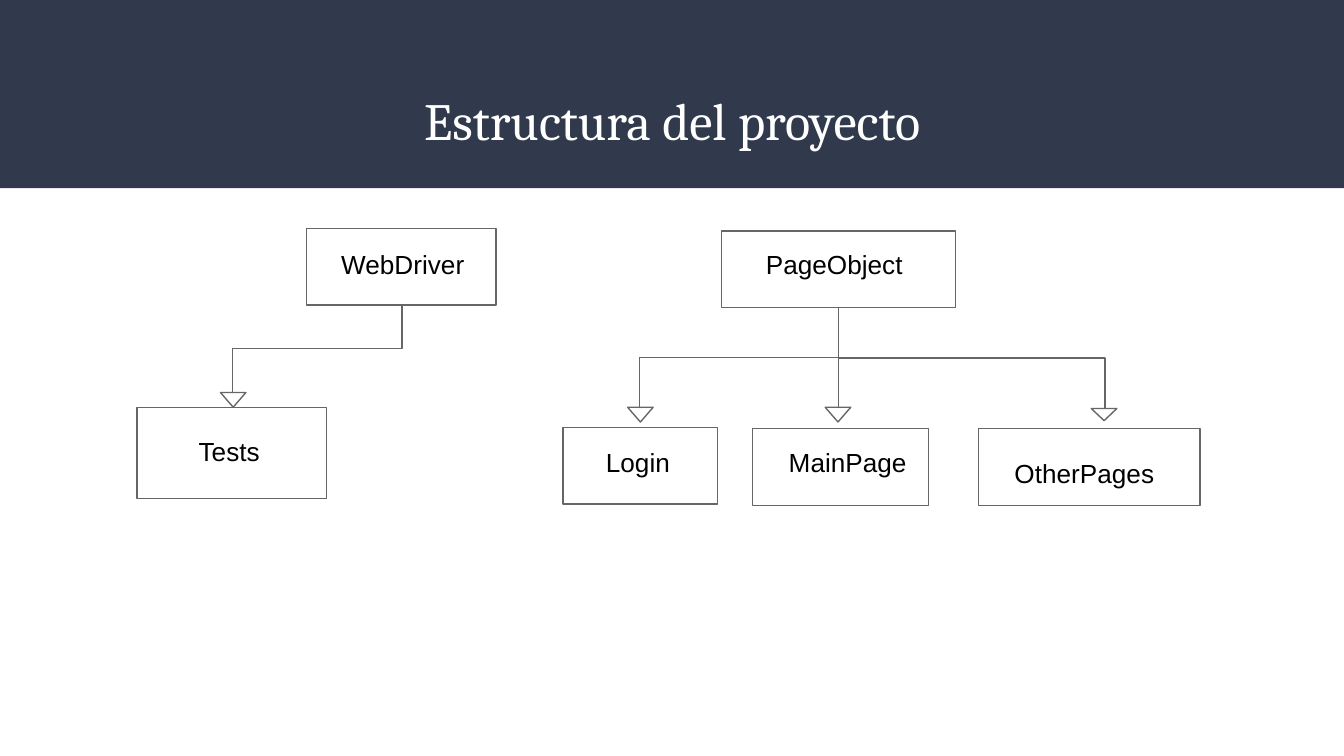
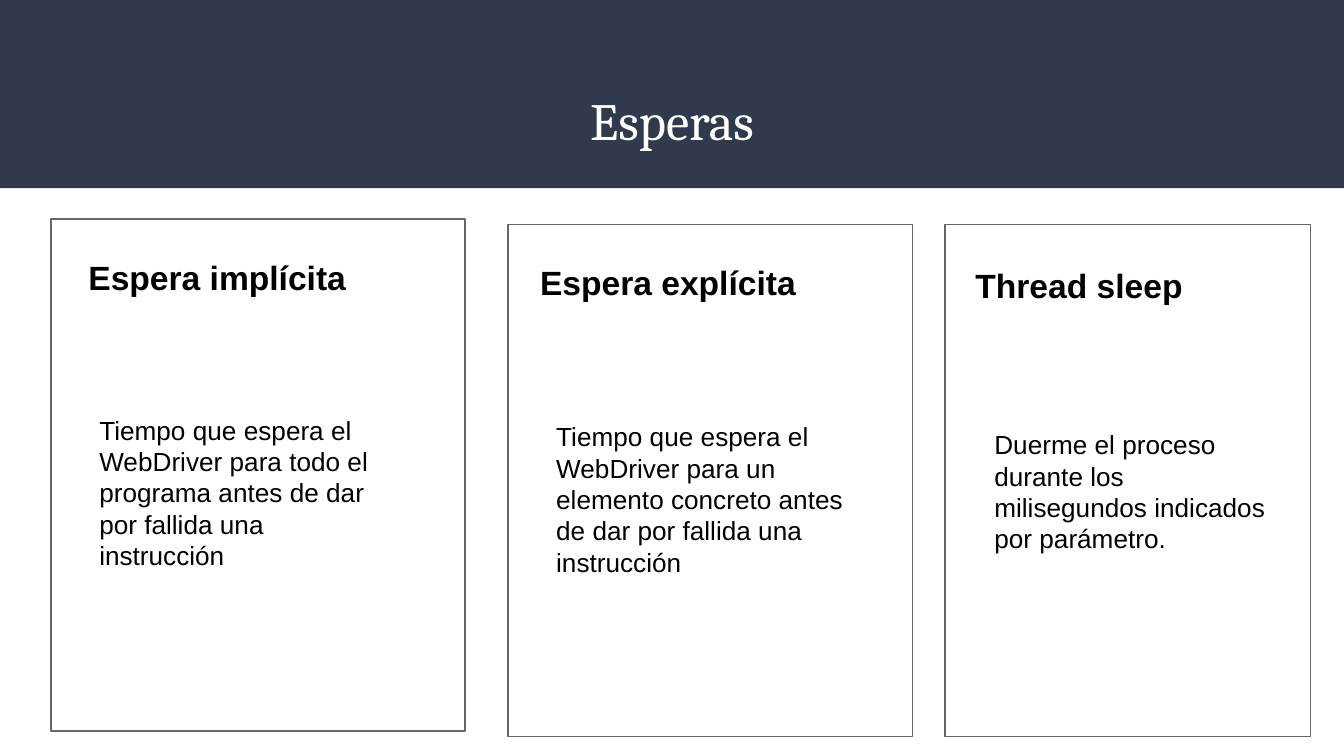
from typing import NamedTuple

from lxml import etree
from pptx import Presentation
from pptx.dml.color import RGBColor
from pptx.enum.shapes import MSO_CONNECTOR, MSO_SHAPE
from pptx.enum.text import MSO_ANCHOR, PP_ALIGN
from pptx.oxml.ns import qn
from pptx.util import Emu, Pt

PX = 9144  # 100 px to the inch
WIDE = 1000
HIGH = WIDE * 9 / 16
PAD = 10

NAVY = RGBColor(0x31, 0x39, 0x4D)
WHITE = RGBColor(0xFF, 0xFF, 0xFF)
BLACK = RGBColor(0x00, 0x00, 0x00)
GRAY = RGBColor(0x66, 0x66, 0x66)

RECT = MSO_SHAPE.RECTANGLE
TRIANGLE = MSO_SHAPE.ISOSCELES_TRIANGLE
ELBOW = MSO_CONNECTOR.ELBOW
TOP, MIDDLE = MSO_ANCHOR.TOP, MSO_ANCHOR.MIDDLE
LEFT, CENTER = PP_ALIGN.LEFT, PP_ALIGN.CENTER


class Area(NamedTuple):
    x: int
    y: int
    w: int
    h: int


class Style(NamedTuple):
    font: str
    size: int
    color: RGBColor = BLACK
    bold: bool = False
    align: PP_ALIGN = LEFT
    anchor: MSO_ANCHOR = TOP


class Node(NamedTuple):
    text: str
    box: Area
    label: Area


class Link(NamedTuple):
    x1: int
    y1: int
    x2: int
    y2: int
    tip: Area


class Card(NamedTuple):
    head: str
    body: str
    box: Area
    top: Area
    main: Area


TITLE = Style("Cambria", 28, WHITE, align=CENTER, anchor=MIDDLE)
HEAD = Style("Arial", 18, bold=True)
BODY = Style("Arial", 14)

NODES = [
    Node("WebDriver", Area(228, 170, 141, 57), Area(244, 175, 136, 68)),
    Node("Tests", Area(102, 303, 141, 68), Area(138, 314, 200, 74)),
    Node("PageObject", Area(537, 172, 174, 57), Area(560, 175, 165, 52)),
    Node("Login", Area(419, 318, 115, 57), Area(441, 322, 136, 48)),
    Node("MainPage", Area(560, 319, 131, 57), Area(577, 322, 131, 34)),
    Node("OtherPages", Area(728, 319, 165, 57), Area(745, 330, 154, 34)),
]

LINKS = [
    Link(299, 227, 173, 292, Area(164, 292, 19, 11)),
    Link(624, 229, 476, 303, Area(467, 303, 19, 11)),
    Link(624, 229, 624, 303, Area(614, 303, 19, 11)),
    Link(624, 229, 822, 304, Area(812, 304, 19, 9)),
]

CARDS = [
    Card("Espera implícita",
         "Tiempo que espera el WebDriver para todo el programa "
         "antes de dar por fallida una instrucción",
         Area(38, 163, 308, 381), Area(56, 181, 266, 46),
         Area(64, 298, 222, 129)),
    Card("Espera explícita",
         "Tiempo que espera el WebDriver para un elemento concreto "
         "antes de dar por fallida una instrucción",
         Area(378, 167, 301, 381), Area(392, 185, 265, 46),
         Area(404, 303, 240, 119)),
    Card("Thread sleep",
         "Duerme el proceso durante los milisegundos indicados "
         "por parámetro.",
         Area(703, 167, 272, 381), Area(716, 187, 250, 46),
         Area(730, 309, 222, 124)),
]


def px(n: float) -> Emu:
    return Emu(round(n * PX))


def place(area: Area) -> list[Emu]:
    return [px(n) for n in area]


def add_text(slide, text: str, area: Area, style: Style) -> None:
    frame = slide.shapes.add_textbox(*place(area)).text_frame
    frame.word_wrap = True
    frame.vertical_anchor = style.anchor
    frame.margin_left = frame.margin_right = px(PAD)
    frame.margin_top = frame.margin_bottom = px(PAD)
    frame.text = text
    for para in frame.paragraphs:
        para.alignment = style.align
        for run in para.runs:
            run.font.name = style.font
            run.font.size = Pt(style.size)
            run.font.bold = style.bold
            run.font.color.rgb = style.color


def add_frame(slide, area: Area, kind: MSO_SHAPE = RECT, turn: int = 0) -> None:
    """Draw an unfilled shape with a thin gray outline."""
    shape = slide.shapes.add_shape(kind, *place(area))
    shape.shadow.inherit = False
    shape.fill.background()
    shape.line.color.rgb = GRAY
    shape.line.width = Pt(0.75)
    shape.rotation = turn


def add_link(slide, link: Link) -> None:
    """Draw an elbow that leaves downwards: a sideways one, turned."""
    mid_x, mid_y = (link.x1 + link.x2) / 2, (link.y1 + link.y2) / 2
    side = -1 if link.x2 < link.x1 else 1
    run = side * (link.y2 - link.y1) / 2
    drop = abs(link.x2 - link.x1) / 2
    line = slide.shapes.add_connector(
        ELBOW, px(mid_x + run), px(mid_y - drop),
        px(mid_x - run), px(mid_y + drop))
    line.line.color.rgb = GRAY
    line.line.width = Pt(0.75)
    props = line._element.spPr
    props.find(qn("a:xfrm")).set("rot", str((180 + side * 90) * 60000))
    etree.SubElement(props, qn("a:effectLst"))
    add_frame(slide, link.tip, TRIANGLE, 180)


def add_slide(deck, title: str):
    """Add a blank slide with the shared band and title."""
    slide = deck.slides.add_slide(deck.slide_layouts[6])
    band = slide.shapes.add_shape(RECT, *place(Area(0, 0, WIDE, 140)))
    band.shadow.inherit = False
    band.fill.solid()
    band.fill.fore_color.rgb = NAVY
    band.line.fill.background()
    add_text(slide, title, Area(34, 55, 932, 68), TITLE)
    return slide


def main() -> None:
    deck = Presentation()
    deck.slide_width, deck.slide_height = px(WIDE), px(HIGH)

    tree = add_slide(deck, "Estructura del proyecto")
    for node in NODES:
        add_frame(tree, node.box)
        add_text(tree, node.text, node.label, BODY)
    for link in LINKS:
        add_link(tree, link)

    waits = add_slide(deck, "Esperas")
    for card in CARDS:
        add_frame(waits, card.box)
        add_text(waits, card.head, card.top, HEAD)
        add_text(waits, card.body, card.main, BODY)

    deck.save("out.pptx")


if __name__ == "__main__":
    main()
